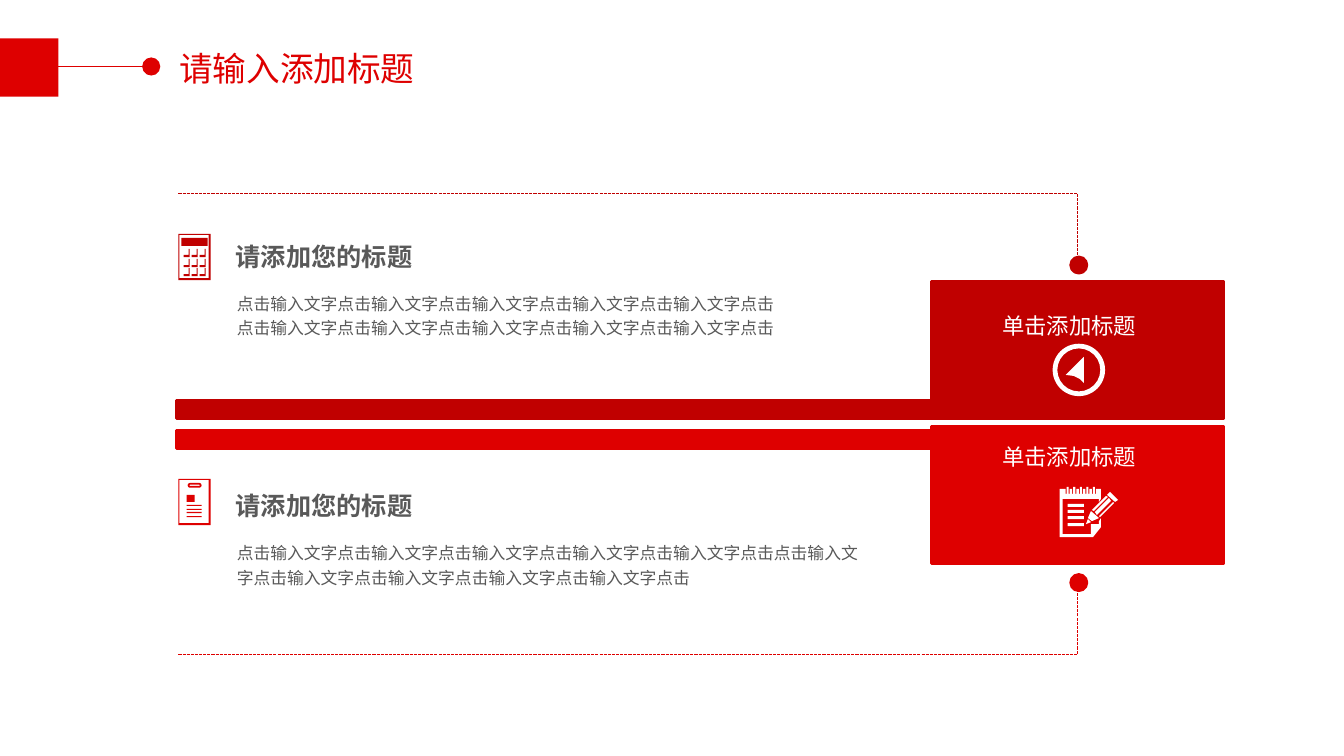
from lxml import etree
from pptx import Presentation
from pptx.dml.color import RGBColor
from pptx.enum.dml import MSO_LINE
from pptx.enum.shapes import MSO_CONNECTOR, MSO_SHAPE
from pptx.enum.text import MSO_ANCHOR, MSO_AUTO_SIZE, PP_ALIGN
from pptx.oxml.ns import qn
from pptx.util import Inches, Pt

RECT, OVAL, DONUT = MSO_SHAPE.RECTANGLE, MSO_SHAPE.OVAL, MSO_SHAPE.DONUT
ROUNDED = MSO_SHAPE.ROUNDED_RECTANGLE
STRAIGHT, ELBOW = MSO_CONNECTOR.STRAIGHT, MSO_CONNECTOR.ELBOW
DASH = MSO_LINE.SQUARE_DOT
LEFT, JUSTIFY = PP_ALIGN.LEFT, PP_ALIGN.JUSTIFY
GROW, TOP = MSO_AUTO_SIZE.SHAPE_TO_FIT_TEXT, MSO_ANCHOR.TOP
COLORS = {"red": "DE0000", "dark": "C00000", "white": "FFFFFF", "gray": "595959"}


def box(left, top, right, bottom):
    return [(left, top), (right, top), (right, bottom), (left, bottom)]


class SlideBuilder:
    font = "Noto Sans CJK SC"

    def __init__(self, slide):
        self.slide = slide

    def color(self, name):
        return RGBColor.from_string(COLORS[name])

    def paint(self, shape, fill, line_width=0):
        shape.shadow.inherit = False
        if fill:
            shape.fill.solid()
            shape.fill.fore_color.rgb = self.color(fill)
        else:
            shape.fill.background()
        if line_width:
            shape.line.color.rgb = self.color(fill)
            shape.line.width = Pt(line_width)
        else:
            shape.line.fill.background()
        return shape

    def shape(self, kind, at, fill, line_width=0):
        shape = self.slide.shapes.add_shape(kind, *map(Inches, at))
        return self.paint(shape, fill, line_width)

    def outline(self, contours, fill):
        """Draw closed contours as one shape; inner contours become holes."""
        builder = None
        for contour in contours:
            points = [(Inches(x), Inches(y)) for x, y in contour]
            if builder is None:
                builder = self.slide.shapes.build_freeform(*points[0], scale=1.0)
            else:
                builder.move_to(*points[0])
            builder.add_line_segments(points[1:], close=True)
        return self.paint(builder.convert_to_shape(), fill)

    def set_text(self, shape, text, size, color, bold=False, align=LEFT, spacing=None, wrap=True):
        frame = shape.text_frame
        frame.text = text
        frame.word_wrap = wrap
        frame.auto_size = GROW
        frame.vertical_anchor = TOP
        for paragraph in frame.paragraphs:
            paragraph.alignment = align
            paragraph.line_spacing = spacing
            for run in paragraph.runs:
                run.font.size = Pt(size)
                run.font.bold = bold
                run.font.color.rgb = self.color(color)
                run.font.name = self.font
                east_asian = etree.SubElement(run.font._element, qn("a:ea"))
                east_asian.set("typeface", self.font)

    def text(self, at, text, size, color, **style):
        self.set_text(self.slide.shapes.add_textbox(*map(Inches, at)), text, size, color, **style)

    def connector(self, kind, ends, color, width, dash=None):
        line = self.slide.shapes.add_connector(kind, *map(Inches, ends))
        line.line.color.rgb = self.color(color)
        line.line.width = Pt(width)
        line.line.dash_style = dash
        properties = line._element.spPr
        etree.SubElement(properties, qn("a:effectLst"))
        if kind == ELBOW:  # bend at the far end
            guides = properties.find(qn("a:prstGeom")).find(qn("a:avLst"))
            etree.SubElement(guides, qn("a:gd"), name="adj1", fmla="val 99900")

    def header(self, title):
        self.connector(STRAIGHT, (0, 0.66, 1.48, 0.66), "red", 1)
        self.shape(OVAL, (1.41, 0.57, 0.18, 0.18), "red")
        self.text((1.68, 0.43, 3.32, 0.5), title, 24, "red", align=JUSTIFY)
        self.shape(RECT, (0, 0.38, 0.58, 0.58), "red")

    def panel(self, top, label_top, label, color):
        self.shape(RECT, (9.24, top, 2.9, 1.36), color, 2)
        caption = self.shape(RECT, (9.84, label_top, 1.58, 0.37), color, 0.75)
        self.set_text(caption, label, 16, "white", wrap=False)

    def bracket(self, line_y, dot_y, color):
        self.connector(ELBOW, (1.77, line_y, 10.7, dot_y), color, 0.75, DASH)
        self.shape(OVAL, (10.62, dot_y - 0.08, 0.16, 0.16), color, 2)

    def section(self, top, heading, body):
        self.text((2.24, top, 2.42, 0.4), heading, 18, "gray", bold=True)
        self.text((2.25, top + 0.48, 6.45, 0.59), body, 12, "gray", spacing=1.2)

    def compass_icon(self):
        ring = self.shape(DONUT, (10.44, 3.41, 0.52, 0.52), "white")
        ring.adjustments[0] = 0.09
        self.outline([[(10.75, 3.54), (10.57, 3.72), (10.65, 3.73), (10.71, 3.76), (10.75, 3.8)]], "white")

    def notepad_icon(self):
        pencil = [
            [(10.9, 5.12), (10.91, 5.13), (11.05, 4.99), (11.04, 4.98)],
            [(11, 4.94), (10.86, 5.08), (10.88, 5.11), (11.02, 4.97)],
            [(10.83, 5.06), (10.85, 5.07), (10.99, 4.93), (10.97, 4.92)],
            [(10.9, 5.14), (10.82, 5.07), (10.79, 5.14), (10.83, 5.17)],
            [(10.77, 5.2), (10.82, 5.18), (10.79, 5.15)],
            [(11.01, 4.88), (10.98, 4.91), (11.06, 4.98), (11.09, 4.96)],
        ]
        for part in pencil:
            self.outline([part], "white")
        ring_profile = [(0, 4.85), (0, 4.9), (0.01, 4.9), (0.01, 4.83),
                        (0.03, 4.83), (0.03, 4.9), (0.04, 4.9), (0.04, 4.85)]
        binding = [(10.57 + 0.13 * i / 2 + dx, y) for i in range(5) for dx, y in ring_profile]
        page = [(10.92, 4.85), (10.92, 4.95), (10.9, 4.98), (10.9, 4.95), (10.54, 4.95),
                (10.54, 5.3), (10.82, 5.3), (10.82, 5.2), (10.9, 5.2), (10.9, 5.17),
                (10.92, 5.14), (10.92, 5.23), (10.84, 5.33), (10.51, 5.33)]
        self.outline([[(10.51, 4.85)] + binding + page], "white")
        for y in (5, 5.06, 5.12, 5.19):
            self.shape(RECT, (10.59, y, 0.16, 0.03), "white")

    def card_frame(self, top):
        return [box(1.77, top, 2.09, top + 0.46), box(1.78, top + 0.01, 2.07, top + 0.44)]

    def calculator_icon(self):
        key = [(0.05, 0), (0.06, 0), (0.06, 0.08), (0, 0.08), (0, 0.06), (0.05, 0.06)]
        keys = [[(x + dx, y + dy) for dx, dy in key]
                for y in (2.47, 2.57, 2.66) for x in (1.82, 1.9, 1.98)]
        screen = box(1.8, 2.36, 2.06, 2.44)
        self.outline(self.card_frame(2.32) + [screen] + keys, "dark")

    def badge_icon(self):
        text_lines = [box(1.85, y, 2, y + 0.01) for y in (5.01, 5.05, 5.08, 5.12)]
        portrait = box(1.85, 4.91, 1.93, 4.98)
        self.outline(self.card_frame(4.75) + [portrait] + text_lines, "red")
        slot = self.shape(ROUNDED, (1.87, 4.8, 0.12, 0.03), None)
        slot.adjustments[0] = 0.5
        slot.line.color.rgb = self.color("red")
        slot.line.width = Pt(1.25)


def main():
    deck = Presentation()
    deck.slide_width, deck.slide_height = Inches(13.33), Inches(7.5)
    page = SlideBuilder(deck.slides.add_slide(deck.slide_layouts[6]))

    page.header("请输入添加标题")

    # Panels on the right with their icons
    page.panel(2.79, 3.05, "单击添加标题", "dark")
    page.compass_icon()
    page.panel(4.23, 4.35, "单击添加标题", "red")
    page.notepad_icon()

    # Bars leading into the panels
    page.shape(RECT, (1.75, 3.97, 7.58, 0.18), "dark", 2)
    page.shape(RECT, (1.75, 4.27, 7.72, 0.18), "red", 2)

    # Dashed brackets
    page.bracket(1.92, 2.63, "dark")
    page.bracket(6.49, 5.78, "red")

    # Text sections on the left
    phrase = "点击输入文字" * 5 + "点击"
    page.calculator_icon()
    page.section(2.34, "请添加您的标题", phrase + "\n" + phrase)
    page.badge_icon()
    page.section(4.82, "请添加您的标题", phrase + phrase)

    deck.save("out.pptx")


if __name__ == "__main__":
    main()
